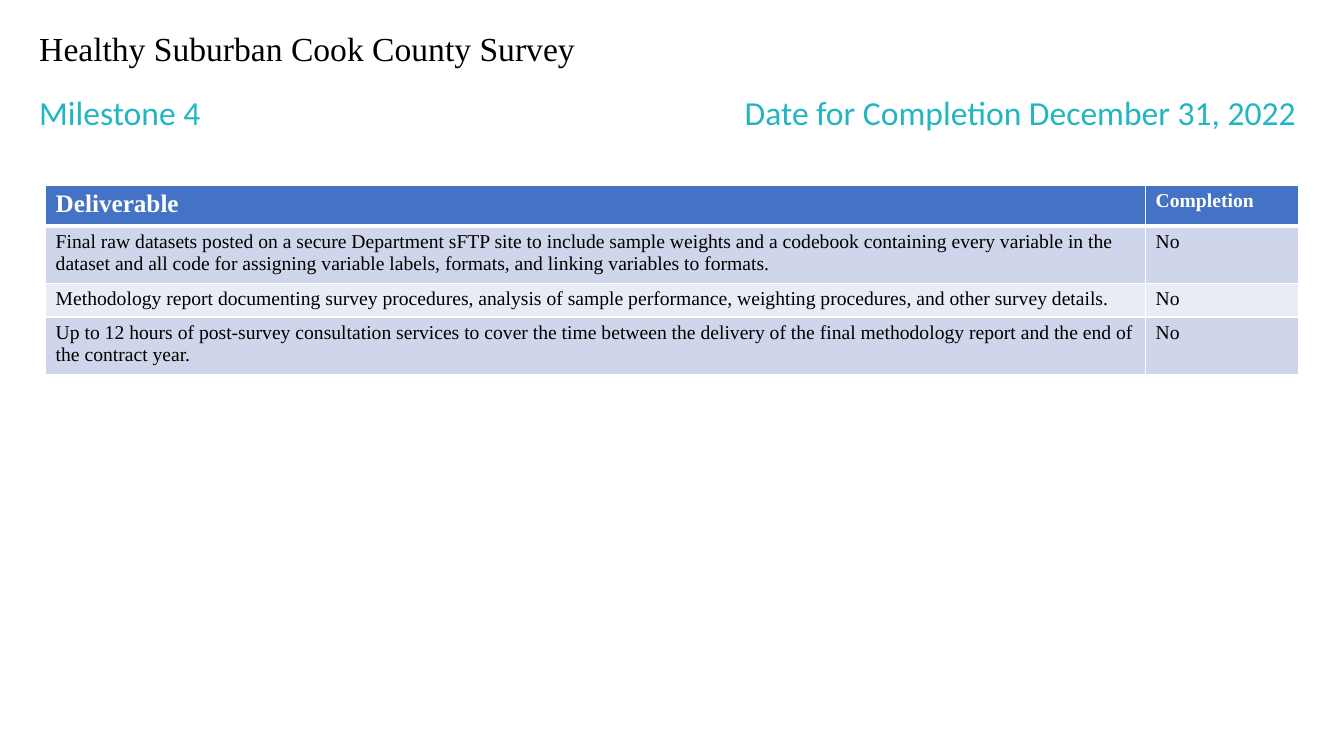
from dataclasses import dataclass
from lxml import etree
from pptx import Presentation
from pptx.dml.color import RGBColor
from pptx.enum import text as t
from pptx.oxml import ns
from pptx.util import Cm, Pt


@dataclass(frozen=True)
class Theme:
    serif: str = "Times New Roman"
    sans: str = "Calibri"
    ink: str = "000000"
    white: str = "FFFFFF"
    teal: str = "21B6C1"
    head: str = "4472C4"
    bands: tuple = ("CFD5EA", "E9EBF5")
    title: int = 24
    label: int = 18
    body: int = 14


LOOK = Theme()
ROWS = [
    ("Deliverable", "Completion"),
    ("Final raw datasets posted on a secure Department sFTP site to include sample weights and a codebook "
     "containing every variable in the dataset and all code for assigning variable labels, formats, "
     "and linking variables to formats.", "No"),
    ("Methodology report documenting survey procedures, analysis of sample performance, "
     "weighting procedures, and other survey details.", "No"),
    ("Up to 12 hours of post-survey consultation services to cover the time between the delivery of "
     "the final methodology report and the end of the contract year.", "No"),
]


def write(frame, words, size=LOOK.body, font=LOOK.serif, color=LOOK.ink, bold=False, space=None):
    frame.word_wrap = True
    para = frame.paragraphs[0]
    para.line_spacing = space
    run = para.add_run()
    run.text = words
    run.font.size = Pt(size)
    run.font.name = font
    run.font.bold = bold
    run.font.color.rgb = RGBColor.from_string(color)
    return para


def line(slide, box, words, **form):
    frame = slide.shapes.add_textbox(*map(Cm, box)).text_frame
    frame.vertical_anchor = t.MSO_ANCHOR.MIDDLE
    return write(frame, words, size=LOOK.title, space=0.9, **form)


def header(slide, box):
    left, top, width, height = box
    line(slide, (left, top, width, height), "Healthy Suburban Cook County Survey")
    para = line(slide, (left, top + 1.61, width, height),
                "Milestone 4\tDate for Completion December 31, 2022",
                font=LOOK.sans, color=LOOK.teal)
    tabs = etree.SubElement(para._p.get_or_add_pPr(), ns.qn("a:tabLst"))
    etree.SubElement(tabs, ns.qn("a:tab"), pos=str(Cm(width - 0.82)), algn="r")


def border(cell, low):
    props = cell._tc.get_or_add_tcPr()
    for spot, (side, wide) in enumerate((("L", 1), ("R", 1), ("T", 1), ("B", low))):
        edge = etree.Element(ns.qn("a:ln" + side), w=str(Pt(wide)))
        fill = etree.SubElement(edge, ns.qn("a:solidFill"))
        etree.SubElement(fill, ns.qn("a:srgbClr"), val=LOOK.white)
        props.insert(spot, edge)


def grid(slide, box):
    table = slide.shapes.add_table(len(ROWS), 2, *map(Cm, box)).table
    last = 3.86
    for col, width in zip(table.columns, (box[2] - last, last)):
        col.width = Cm(width)
    for row, height in zip(table.rows, (1.03, 1.3, 0.78, 1.3)):
        row.height = Cm(height)
    for r, row in enumerate(ROWS):
        top = r == 0
        for c, words in enumerate(row):
            cell = table.cell(r, c)
            cell.fill.solid()
            shade = LOOK.head if top else LOOK.bands[(r - 1) % 2]
            cell.fill.fore_color.rgb = RGBColor.from_string(shade)
            border(cell, 3 if top else 1)
            write(cell.text_frame, words, bold=top,
                  size=LOOK.label if top and c == 0 else LOOK.body,
                  color=LOOK.white if top else LOOK.ink)


def main():
    deck = Presentation()
    deck.slide_width, deck.slide_height = Cm(33.87), Cm(19.05)
    slide = deck.slides.add_slide(deck.slide_layouts[6])
    header(slide, (0.74, 0.69, 32.49, 1.17))
    grid(slide, (1.15, 4.67, 31.58, 4.41))
    deck.save("out.pptx")


if __name__ == "__main__":
    main()
